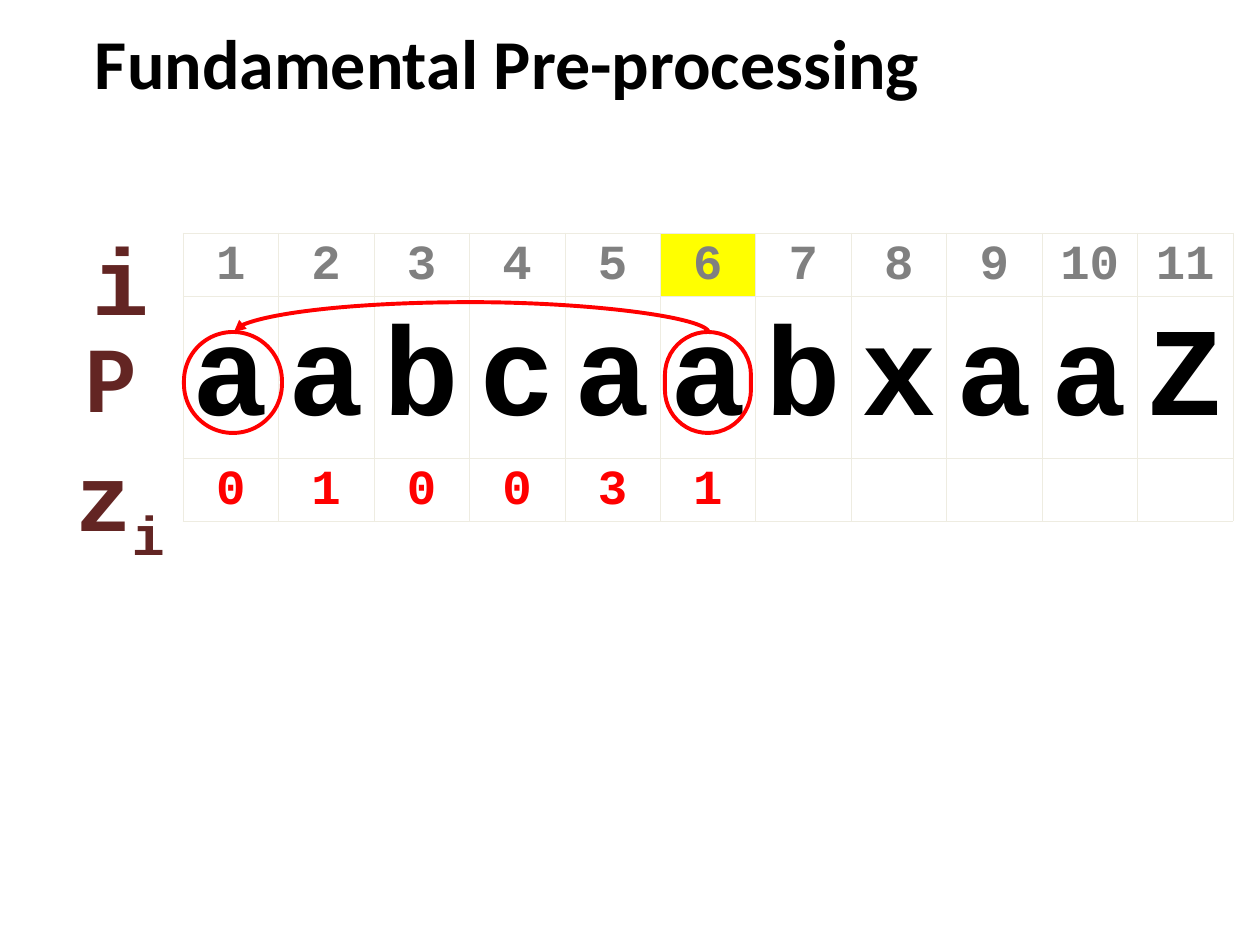
from lxml import etree
from pptx import Presentation
from pptx.dml.color import RGBColor
from pptx.enum.shapes import MSO_CONNECTOR, MSO_SHAPE
from pptx.enum.text import MSO_ANCHOR, PP_ALIGN
from pptx.oxml.ns import qn
from pptx.util import Pt

PX = 914400 // 126
BLACK = RGBColor(0x00, 0x00, 0x00)
GRAY = RGBColor(0x80, 0x80, 0x80)
RED = RGBColor(0xFF, 0x00, 0x00)
YELLOW = RGBColor(0xFF, 0xFF, 0x00)
MAROON = RGBColor(0x63, 0x25, 0x23)
BORDER = RGBColor(0xEE, 0xEC, 0xE1)
SANS, MONO = "Calibri", "Courier New"

# Each row: height, text size, colour, values
ROWS = [
    (59, 28, GRAY, [str(number) for number in range(1, 12)]),
    (153, 72, BLACK, list("aabcaabxaaZ")),
    (60, 28, RED, list("010031")),
]
CURRENT = 5


def px(*lengths):
    return [length * PX for length in lengths]


def add_span(para, text, size, font, color):
    span = para.add_run()
    span.text = text
    span.font.size = Pt(size)
    span.font.name = font
    span.font.bold = True
    span.font.color.rgb = color
    return span


def add_text_box(page, box, margins, anchor=MSO_ANCHOR.TOP):
    frame = page.shapes.add_textbox(*px(*box)).text_frame
    frame.word_wrap = True
    frame.vertical_anchor = anchor
    (frame.margin_left, frame.margin_top,
     frame.margin_right, frame.margin_bottom) = px(*margins)
    return frame.paragraphs[0]


def add_title(page, box):
    para = add_text_box(page, box, (0, 0, 0, 0))
    add_span(para, "Fundamental Pre-processing", 40, SANS, BLACK)


def add_row_label(page, box, text, font=MONO, subscript=""):
    mono = font == MONO
    anchor = MSO_ANCHOR.TOP if mono else MSO_ANCHOR.MIDDLE
    para = add_text_box(page, box, (12, 24 if mono else 6, 12, 6), anchor)
    para.alignment = PP_ALIGN.CENTER
    if mono:
        para.line_spacing = 0.8
    add_span(para, text, 54, font, MAROON)
    if subscript:
        span = add_span(para, subscript, 54, font, MAROON)
        span.font._element.set("baseline", "-25000")


def set_borders(cell):
    properties = cell._tc.get_or_add_tcPr()
    for index, side in enumerate(("lnL", "lnR", "lnT", "lnB")):
        line = etree.Element(qn(f"a:{side}"), w=str(Pt(0.25)))
        fill = etree.SubElement(line, qn("a:solidFill"))
        etree.SubElement(fill, qn("a:srgbClr"), val=str(BORDER))
        properties.insert(index, line)


def fill_cell(cell, text, size, color, highlighted):
    cell.margin_left = cell.margin_right = cell.margin_top = cell.margin_bottom = 0
    cell.vertical_anchor = MSO_ANCHOR.MIDDLE
    if highlighted:
        cell.fill.solid()
        cell.fill.fore_color.rgb = YELLOW
    else:
        cell.fill.background()
    set_borders(cell)
    para = cell.text_frame.paragraphs[0]
    if text:
        para.alignment = PP_ALIGN.CENTER
        para.line_spacing = 1.07
        para.space_after = Pt(8)
        add_span(para, text, size, MONO, color)
    else:
        para.font.size = Pt(size)


def add_pattern_table(page, box):
    columns = len(ROWS[0][3])
    table = page.shapes.add_table(len(ROWS), columns, *px(*box)).table
    table.first_row = table.horz_banding = False
    for column in table.columns:
        column.width = box[2] * PX // columns
    for row, (height, size, color, values) in enumerate(ROWS):
        table.rows[row].height = height * PX
        for column in range(columns):
            text = values[column] if column < len(values) else ""
            fill_cell(table.cell(row, column), text, size, color,
                      row == 0 and column == CURRENT)


def add_ring(page, box):
    ring = page.shapes.add_shape(MSO_SHAPE.ROUNDED_RECTANGLE, *px(*box))
    ring.adjustments[0] = 0.5
    ring.shadow.inherit = False
    ring.fill.background()
    ring.line.color.rgb = RED
    ring.line.width = Pt(2.25)


def add_match_arrow(page, start_x, end_x, y, rise):
    # The arch is a one px wide curve turned on its side
    span = start_x - end_x
    left, top = (start_x + end_x) // 2, y - span // 2
    arrow = page.shapes.add_connector(
        MSO_CONNECTOR.CURVE, *px(left, top + span, left + 1, top))
    arrow.line.color.rgb = RED
    arrow.line.width = Pt(2.25)
    properties = arrow._element.spPr
    properties.find(qn("a:xfrm")).set("rot", str(270 * 60000))
    guides = properties.find(qn("a:prstGeom")).get_or_add_avLst()
    etree.SubElement(guides, qn("a:gd"), name="adj1", fmla=f"val {rise * 100000}")
    etree.SubElement(properties.find(qn("a:ln")), qn("a:tailEnd"), type="triangle")
    etree.SubElement(properties, qn("a:effectLst"))


def main():
    deck = Presentation()
    deck.slide_width, deck.slide_height = px(1260, 945)
    page = deck.slides.add_slide(deck.slide_layouts[6])

    add_title(page, (95, 20, 1071, 101))

    # Pattern table with its row labels
    add_pattern_table(page, (183, 233, 1050, 272))
    add_row_label(page, (40, 324, 142, 101), "P", SANS)
    add_row_label(page, (57, 425, 126, 101), "z", subscript="i")
    add_row_label(page, (58, 219, 126, 88), "i")

    # Matched letters
    add_ring(page, (665, 332, 86, 101))
    add_ring(page, (184, 332, 98, 101))
    add_match_arrow(page, 709, 234, 332, 31)

    deck.save("out.pptx")


if __name__ == "__main__":
    main()
